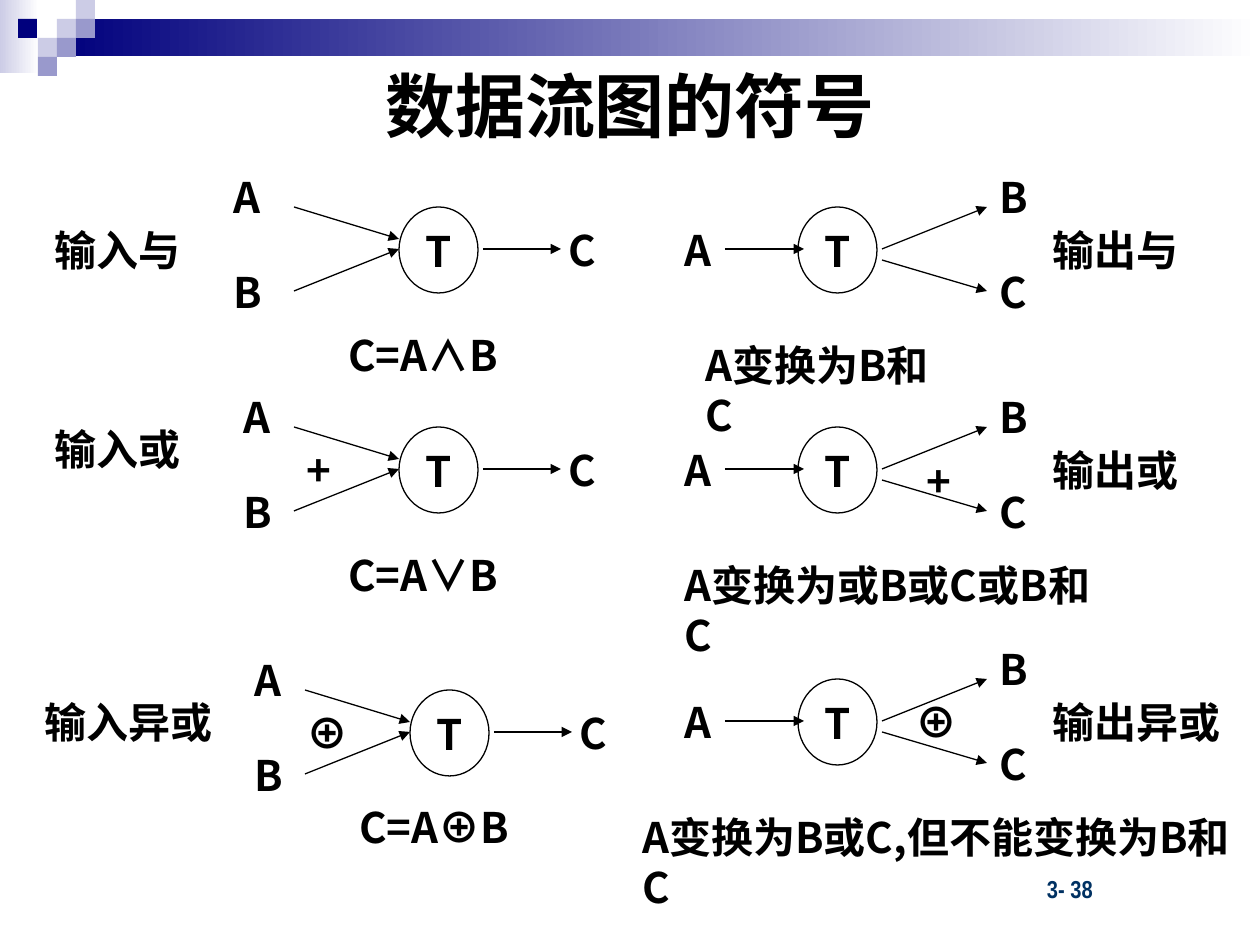
import lxml.etree
import pptx
import pptx.dml.color
import pptx.enum.dml
import pptx.enum.shapes
import pptx.enum.text
import pptx.oxml.ns
import pptx.util

PX = 914400 // 126
CJK = "Noto Sans CJK SC"
color = pptx.dml.color.RGBColor.from_string
qn = pptx.oxml.ns.qn
kinds = pptx.enum.shapes.MSO_SHAPE
centered = pptx.enum.text.PP_ALIGN.CENTER

deck = pptx.Presentation()
deck.slide_width = 1260 * PX
deck.slide_height = 945 * PX
slide = deck.slides.add_slide(deck.slide_layouts[6])
shapes = slide.shapes


def write(frame, text, size=24, latin=CJK, ink="000000", spacing=1.2, align=None):
    frame.word_wrap = True
    paragraph = frame.paragraphs[0]
    paragraph.alignment = align
    paragraph.line_spacing = pptx.util.Pt(size * spacing)
    run = paragraph.add_run()
    run.text = text
    run.font.size = pptx.util.Pt(size)
    run.font.bold = True
    run.font.color.rgb = color(ink)
    run.font.name = latin
    east_asian = lxml.etree.SubElement(run.font._element, qn("a:ea"))
    east_asian.set("typeface", CJK)


def label(text, left, top, width, height=63):
    box = shapes.add_textbox(left * PX, top * PX, width * PX, height * PX)
    box.text_frame.auto_size = pptx.enum.text.MSO_AUTO_SIZE.SHAPE_TO_FIT_TEXT
    write(box.text_frame, text)


header = [
    (0, 0, 39, 73, ("CCCCE6", "FFFFFF")),
    (57, 19, 1203, 37, ("00007D", "FFFFFF")),
    (57, 19, 19, 19, ("CCCCE6",)),
    (76, 0, 19, 19, ("CCCCE6",)),
    (76, 19, 19, 19, ("9999CC",)),
    (38, 38, 19, 19, ("CCCCE6",)),
    (18, 19, 19, 19, ("00007D",)),
    (57, 38, 19, 19, ("9999CC",)),
    (38, 57, 19, 19, ("9999CC",)),
]
for left, top, width, height, tints in header:
    tile = shapes.add_shape(kinds.RECTANGLE, left * PX, top * PX, width * PX, height * PX)
    tile.shadow.inherit = False
    tile.line.fill.background()
    if len(tints) == 1:
        tile.fill.solid()
        tile.fill.fore_color.rgb = color(tints[0])
    else:
        tile.fill.gradient()
        tile.fill.gradient_angle = 0
        for stop, tint, position in zip(tile.fill.gradient_stops, tints, (0, 1)):
            stop.color.rgb = color(tint)
            stop.position = position

title = shapes.add_textbox(63 * PX, 63 * PX, 1134 * PX, 151 * PX)
title.text_frame.margin_top = 0
write(title.text_frame, "数据流图的符号", size=40, latin="Arial", align=centered)

page_number = shapes.add_textbox(917 * PX, 869 * PX, 262 * PX, 42 * PX)
page_number.text_frame.margin_left = 130 * PX
write(page_number.text_frame, "3- 38", size=14, latin="Arial Narrow", ink="003162", spacing=1.15)

input_arrows = [(-105, 0, 0, 32), (-105, 84, 0, 42), (84, 42, 162, 42)]
output_arrows = [(84, 53, 189, 84), (84, 42, 189, 0), (-73, 42, 6, 42)]
transforms = [
    (399, 207, input_arrows),
    (399, 427, input_arrows),
    (410, 690, input_arrows),
    (798, 207, output_arrows),
    (798, 427, output_arrows),
    (798, 679, output_arrows),
]
for left, top, arrows in transforms:
    for x1, y1, x2, y2 in arrows:
        flow = shapes.add_connector(
            pptx.enum.shapes.MSO_CONNECTOR.STRAIGHT,
            (left + x1) * PX, (top + y1) * PX, (left + x2) * PX, (top + y2) * PX)
        flow.line.width = pptx.util.Pt(0.75)
        flow.line.color.rgb = color("000000")
        tail = lxml.etree.SubElement(flow.line._get_or_add_ln(), qn("a:tailEnd"))
        tail.set("type", "triangle")
        lxml.etree.SubElement(flow._element.spPr, qn("a:effectLst"))
    process = shapes.add_shape(kinds.OVAL, left * PX, top * PX, 79 * PX, 86 * PX)
    process.shadow.inherit = False
    process.fill.background()
    process.line.width = pptx.util.Pt(0.75)
    process.line.color.rgb = color("000000")
    process.text_frame.vertical_anchor = pptx.enum.text.MSO_ANCHOR.TOP
    write(process.text_frame, "T", align=centered)

for (left, top, _), source_left in zip(transforms[:3], (221, 231, 242)):
    label("A", source_left, top - 42, 73)
    label("B", source_left, top + 53, 73)
    label("C", left + 157, top + 11, 73)

for left, top, _ in transforms[3:]:
    label("A", left - 126, top + 11, 73)
    label("B", left + 189, top - 42, 73)
    label("C", left + 189, top + 53, 73)

for name, left, top, width in [
    ("输入与", 42, 218, 189),
    ("输入或", 42, 417, 189),
    ("输入异或", 32, 690, 231),
    ("输出与", 1040, 218, 189),
    ("输出或", 1040, 438, 189),
    ("输出异或", 1040, 690, 220),
    ("+", 294, 438, 73),
    ("⊕", 294, 701, 84),
    ("+", 914, 449, 73),
    ("⊕", 903, 690, 84),
    ("C=A∧B", 336, 323, 231),
    ("C=A∨B", 336, 543, 231),
    ("C=A⊕B", 347, 795, 231),
]:
    label(name, left, top, width)

for meaning, left, top, width in [
    ("A变换为B和C", 693, 333, 273),
    ("A变换为或B或C或B和C", 672, 553, 451),
    ("A变换为B或C,但不能变换为B和C", 630, 805, 630),
]:
    label(meaning, left, top, width, 113)

deck.save("out.pptx")
